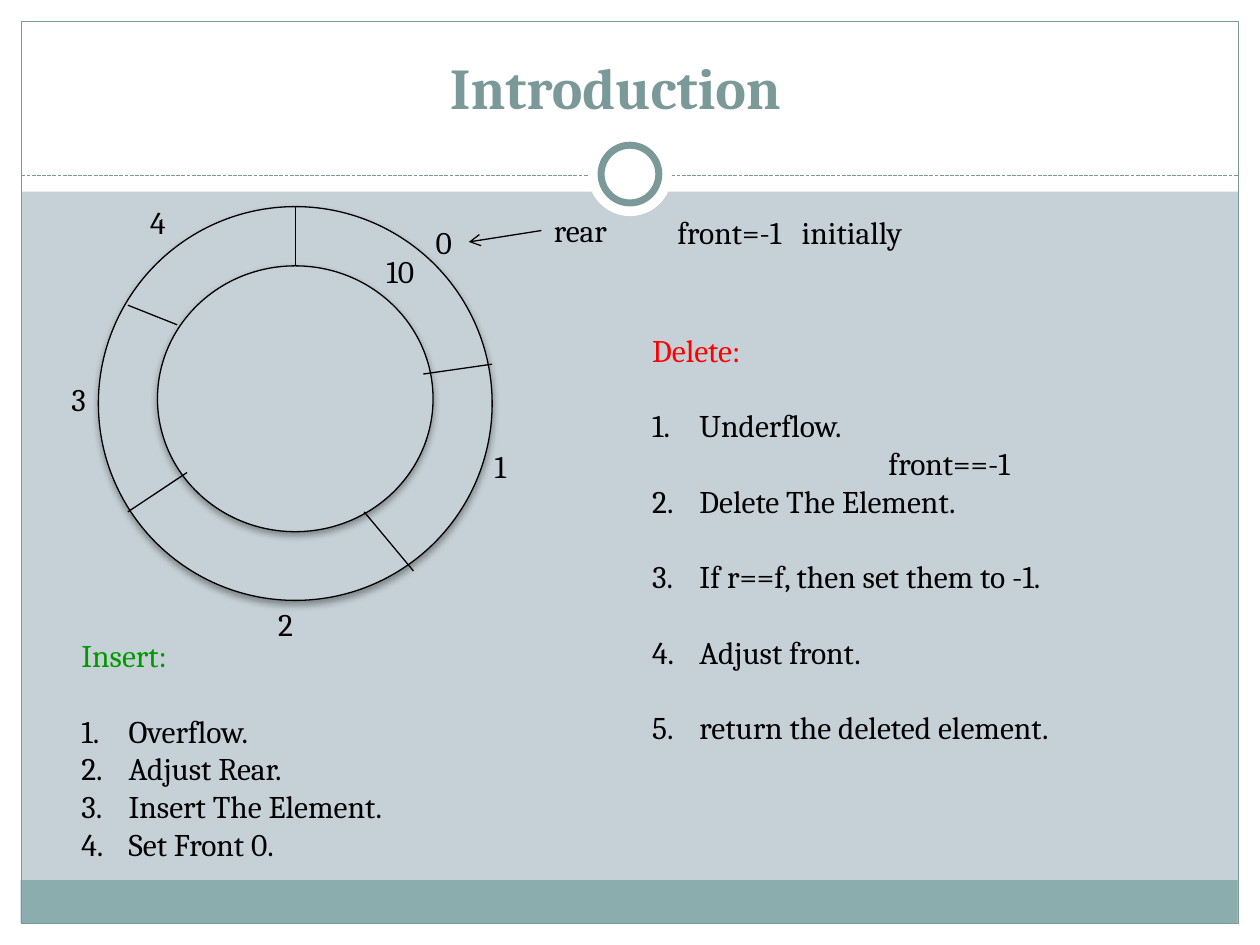
from typing import NamedTuple

import lxml.etree
import pptx
import pptx.dml.color
import pptx.enum.dml
import pptx.enum.shapes
import pptx.enum.text
import pptx.oxml.ns
import pptx.util

Pt = pptx.util.Pt
qn = pptx.oxml.ns.qn
SHAPE = pptx.enum.shapes.MSO_SHAPE
FONT = "Cambria"
LINE_PITCH = 21.5  # height of one 18 pt line, used as a blank-line gap
COLORS = {
    "white": "FFFFFF", "panel": "C5D1D7", "band": "8CADAE", "accent": "7C999A",
    "black": "000000", "insert": "009900", "delete": "FF0000",
}


class Box(NamedTuple):
    x: float
    y: float
    w: float
    h: float


class Line(NamedTuple):
    x1: float
    y1: float
    x2: float
    y2: float


class Label(NamedTuple):
    text: str
    box: Box


class Para(NamedTuple):
    text: str
    color: str = "black"
    number: int = 0
    indent: float = 0
    before: float = 0
    tab: float = 0


def rgb(name: str) -> pptx.dml.color.RGBColor:
    return pptx.dml.color.RGBColor.from_string(COLORS[name])


def add_shape(s, kind, box: Box, fill="", line="", width=0.75, shadow=False):
    sp = s.shapes.add_shape(kind, *map(Pt, box))
    sp.shadow.inherit = False
    if fill:
        sp.fill.solid()
        sp.fill.fore_color.rgb = rgb(fill)
    else:
        sp.fill.background()
    if line:
        sp.line.color.rgb = rgb(line)
        sp.line.width = Pt(width)
    else:
        sp.line.fill.background()
    if shadow:
        effects = sp._element.spPr.find(qn("a:effectLst"))
        outer = lxml.etree.SubElement(
            effects, qn("a:outerShdw"), blurRad=str(Pt(4)), dist=str(Pt(2)),
            dir="5400000", rotWithShape="0")
        clr = lxml.etree.SubElement(outer, qn("a:srgbClr"), val=COLORS["black"])
        lxml.etree.SubElement(clr, qn("a:alpha"), val="35000")
    return sp


def add_line(s, line: Line, color="black", dash=None, arrow=False):
    cxn = s.shapes.add_connector(
        pptx.enum.shapes.MSO_CONNECTOR.STRAIGHT, *map(Pt, line))
    cxn.line.color.rgb = rgb(color)
    cxn.line.width = Pt(0.75)
    if dash:
        cxn.line.dash_style = dash
    if arrow:
        lxml.etree.SubElement(cxn.line._get_or_add_ln(), qn("a:tailEnd"), type="arrow")
    lxml.etree.SubElement(cxn._element.spPr, qn("a:effectLst"))
    return cxn


def add_text(s, box: Box, paras: list[Para], size=18, bold=False, align=None,
             anchor=pptx.enum.text.MSO_ANCHOR.TOP, wrap=False):
    tf = s.shapes.add_textbox(*map(Pt, box)).text_frame
    tf.word_wrap = wrap
    tf.vertical_anchor = anchor
    for i, para in enumerate(paras):
        p = tf.paragraphs[0] if i == 0 else tf.add_paragraph()
        p.alignment = align
        if para.before:
            p.space_before = Pt(para.before)
        pPr = p._p.get_or_add_pPr()
        if para.indent:
            pPr.set("marL", str(Pt(para.indent)))
        if para.number:
            pPr.set("marL", str(Pt(27)))
            pPr.set("indent", str(Pt(-27)))
            lxml.etree.SubElement(pPr, qn("a:buAutoNum"), type="arabicPeriod",
                                  startAt=str(para.number))
        if para.tab:
            tabs = lxml.etree.SubElement(pPr, qn("a:tabLst"))
            lxml.etree.SubElement(tabs, qn("a:tab"), pos=str(Pt(para.tab)), algn="l")
        r = p.add_run()
        r.text = para.text
        r.font.name = FONT
        r.font.size = Pt(size)
        r.font.bold = bold
        r.font.color.rgb = rgb(para.color)


FRAME_BARS = [
    Box(0, 528, 720, 12), Box(0, 0, 720, 109.5),
    Box(0, 0, 12, 540), Box(708, 0, 12, 540),
]
RING = [Box(56.25, 118.1, 225, 225), Box(90, 151.9, 157.5, 151.9)]
DIVIDERS = [
    Line(168.75, 118.1, 168.75, 151.9), Line(281.25, 208.1, 241.9, 213.75),
    Line(236.25, 326.25, 208.1, 292.5), Line(106.9, 270, 73.1, 292.5),
    Line(101.25, 185.6, 73.1, 174.4),
]
LABELS = [
    Label("10", Box(213.75, 140.6, 33.1, 29)),
    Label("0", Box(241.9, 123.75, 26, 29)),
    Label("1", Box(275.6, 252, 22.5, 29)),
    Label("2", Box(151.9, 342, 24.5, 29)),
    Label("3", Box(33.75, 213.75, 24.5, 29)),
    Label("4", Box(78.75, 112.5, 24.5, 29)),
    Label("rear", Box(309.4, 117, 47.5, 29)),
]
INSERT = [
    Para("Insert:", "insert"),
    Para("Overflow.", number=1, before=LINE_PITCH),
    Para("Adjust Rear.", number=2),
    Para("Insert The Element.", number=3),
    Para("Set Front 0.", number=4),
]
DELETE = [
    Para("Delete:", "delete"),
    Para("Underflow.", number=1, before=LINE_PITCH),
    Para("front==-1", indent=135),
    Para("Delete The Element.", number=2),
    Para("If r==f, then set them to -1.", number=3, before=LINE_PITCH),
    Para("Adjust front.", number=4, before=LINE_PITCH),
    Para("return the deleted element.", number=5, before=LINE_PITCH),
]


def main() -> None:
    prs = pptx.Presentation()
    prs.slide_width, prs.slide_height = Pt(720), Pt(540)
    s = prs.slides.add_slide(prs.slide_layouts[6])
    s.background.fill.solid()
    s.background.fill.fore_color.rgb = rgb("panel")

    # Frame, footer band and header ornament
    for bar in FRAME_BARS:
        add_shape(s, SHAPE.RECTANGLE, bar, "white")
    add_shape(s, SHAPE.RECTANGLE, Box(11.75, 503, 695.5, 24.5), "band")
    add_shape(s, SHAPE.RECTANGLE, Box(12.25, 12.25, 695.5, 515.5), line="accent")
    add_line(s, Line(12.25, 100.5, 707.75, 100.5), "accent",
             pptx.enum.dml.MSO_LINE.SQUARE_DOT)
    add_shape(s, SHAPE.OVAL, Box(336, 75.5, 48, 48), "white")
    add_shape(s, SHAPE.OVAL, Box(343.5, 83, 33, 33), "white", "accent", 4)

    # Title
    add_text(s, Box(129.6, 22.3, 444.2, 50.4), [Para("Introduction", "accent")],
             size=33, bold=True, align=pptx.enum.text.PP_ALIGN.CENTER,
             anchor=pptx.enum.text.MSO_ANCHOR.BOTTOM, wrap=True)

    # Circular queue with its slot dividers and indexes
    for circle in RING:
        add_shape(s, SHAPE.OVAL, circle, "panel", "black", shadow=True)
    for divider in DIVIDERS:
        add_line(s, divider)
    for label in LABELS:
        add_text(s, label.box, [Para(label.text)])
    add_line(s, Line(309.4, 131.75, 267.85, 138.25), arrow=True)

    # Initial state and the two algorithms
    add_text(s, Box(380, 118.1, 156.2, 29), [Para("front=-1\tinitially", tab=71)])
    add_text(s, Box(39.4, 360, 202.3, 138.2), INSERT)
    add_text(s, Box(365.6, 185.6, 260.6, 247), DELETE)

    prs.save("out.pptx")


if __name__ == "__main__":
    main()
